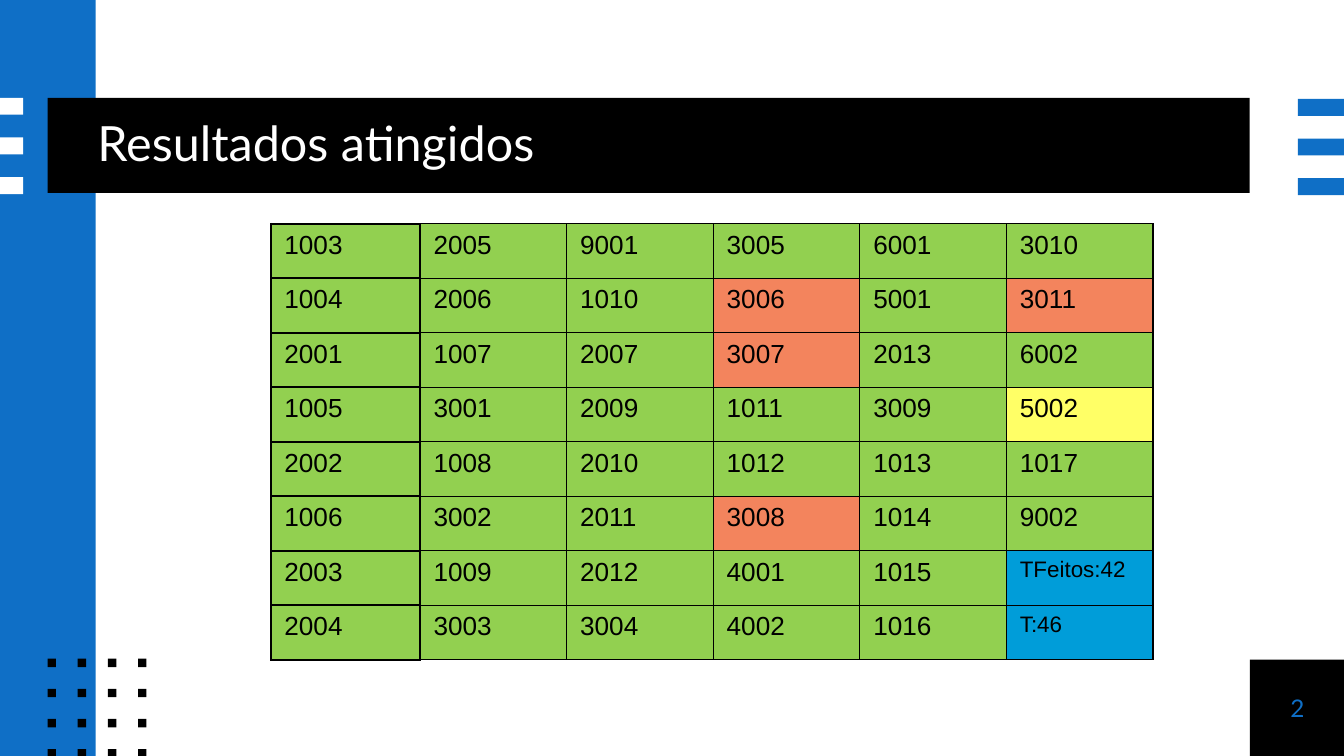
from dataclasses import dataclass
from itertools import product

from lxml.etree import SubElement
from pptx import Presentation
from pptx.dml.color import RGBColor
from pptx.enum.shapes import MSO_SHAPE as Preset
from pptx.enum.text import MSO_ANCHOR as Anchor, PP_ALIGN as Align
from pptx.oxml.ns import qn
from pptx.util import Cm, Pt


@dataclass(frozen=True)
class Theme:
    black: str = "000000"
    white: str = "FFFFFF"
    blue: str = "0F6FC6"
    done: str = "92D050"
    failed: str = "F3845D"
    partial: str = "FFFF66"
    total: str = "009DD9"
    heading_font: str = "Lato"
    table_font: str = "Arial"
    title_size: float = 26
    number_size: float = 13
    cell_size: float = 14
    total_size: float = 12
    thin_line: float = 0.75
    thick_line: float = 1


TEST_ROWS = [
    ["1003", "2005", "9001", "3005", "6001", "3010"],
    ["1004", "2006", "1010", "3006", "5001", "3011"],
    ["2001", "1007", "2007", "3007", "2013", "6002"],
    ["1005", "3001", "2009", "1011", "3009", "5002"],
    ["2002", "1008", "2010", "1012", "1013", "1017"],
    ["1006", "3002", "2011", "3008", "1014", "9002"],
    ["2003", "1009", "2012", "4001", "1015", "TFeitos:42"],
    ["2004", "3003", "3004", "4002", "1016", "T:46"],
]
FAILED_TESTS = {"3006", "3007", "3008", "3011"}
PARTIAL_TESTS = {"5002"}


def write_text(frame, text, *, font, size, color, align=Align.LEFT,
               anchor=Anchor.TOP, spacing=None):
    frame.word_wrap = True
    frame.vertical_anchor = anchor
    paragraph = frame.paragraphs[0]
    paragraph.alignment = align
    paragraph.line_spacing = spacing
    run = paragraph.add_run()
    run.text = text
    run.font.name = font
    run.font.size = Pt(size)
    run.font.color.rgb = RGBColor.from_string(color)


def clear_margins(frame):
    frame.margin_left = frame.margin_right = 0
    frame.margin_top = frame.margin_bottom = 0


class SlideBuilder:
    def __init__(self, slide, theme):
        self.slide = slide
        self.theme = theme

    def rectangle(self, left, top, width, height, color):
        shape = self.slide.shapes.add_shape(
            Preset.RECTANGLE, Cm(left), Cm(top), Cm(width), Cm(height))
        shape.shadow.inherit = False
        shape.fill.solid()
        shape.fill.fore_color.rgb = RGBColor.from_string(color)
        shape.line.fill.background()

    def stripes(self, left, top, width, color):
        for index in range(3):
            self.rectangle(left, top + 0.75 * index, width, 0.32, color)

    def dots(self, left, top):
        for row, column in product(range(4), repeat=2):
            self.rectangle(left + 0.57 * column, top + 0.57 * row,
                           0.16, 0.16, self.theme.black)

    def title(self, text, left, top, width, height):
        title = self.slide.shapes.title
        self.slide.shapes.element.append(title.element)
        title.left, title.top = Cm(left), Cm(top)
        title.width, title.height = Cm(width), Cm(height)
        clear_margins(title.text_frame)
        write_text(title.text_frame, text, font=self.theme.heading_font,
                   size=self.theme.title_size, color=self.theme.white,
                   anchor=Anchor.MIDDLE, spacing=0.9)

    def slide_number(self, text, left, top, side):
        box = self.slide.shapes.add_textbox(
            Cm(left), Cm(top), Cm(side), Cm(side))
        clear_margins(box.text_frame)
        write_text(box.text_frame, text, font=self.theme.heading_font,
                   size=self.theme.number_size, color=self.theme.blue,
                   align=Align.CENTER, anchor=Anchor.MIDDLE)

    def borders(self, cell, column):
        properties = cell._tc.get_or_add_tcPr()
        for side in ("L", "R", "T", "B"):
            thick = column == 0 or (column == 1 and side == "L")
            width = self.theme.thick_line if thick else self.theme.thin_line
            line = SubElement(properties, qn(f"a:ln{side}"), w=str(Pt(width)))
            fill = SubElement(line, qn("a:solidFill"))
            SubElement(fill, qn("a:srgbClr"), val=self.theme.black)

    def cell_color(self, text):
        if text.startswith("T"):
            return self.theme.total
        if text in FAILED_TESTS:
            return self.theme.failed
        if text in PARTIAL_TESTS:
            return self.theme.partial
        return self.theme.done

    def table(self, rows, left, top, widths, row_height):
        table = self.slide.shapes.add_table(
            len(rows), len(widths), Cm(left), Cm(top),
            Cm(sum(widths)), Cm(row_height * len(rows))).table
        table.first_row = table.horz_banding = False
        for column, width in zip(table.columns, widths):
            column.width = Cm(width)
        for row_index, values in enumerate(rows):
            table.rows[row_index].height = Cm(row_height)
            for column_index, text in enumerate(values):
                cell = table.cell(row_index, column_index)
                self.borders(cell, column_index)
                color = self.cell_color(text)
                cell.fill.solid()
                cell.fill.fore_color.rgb = RGBColor.from_string(color)
                is_total = color == self.theme.total
                size = self.theme.total_size if is_total else self.theme.cell_size
                write_text(cell.text_frame, text, font=self.theme.table_font,
                           size=size, color=self.theme.black)


def main():
    presentation = Presentation()
    presentation.slide_width = Cm(25.4)
    presentation.slide_height = Cm(14.29)
    theme = Theme()
    slide = presentation.slides.add_slide(presentation.slide_layouts[5])
    builder = SlideBuilder(slide, theme)

    builder.rectangle(23.62, 12.47, 1.8, 1.82, theme.black)
    builder.rectangle(0, 0, 1.81, 14.29, theme.blue)
    builder.rectangle(0.9, 1.85, 22.72, 1.8, theme.black)
    builder.stripes(0, 1.85, 0.44, theme.white)
    builder.stripes(24.53, 1.87, 0.87, theme.blue)
    builder.dots(0.9, 12.45)
    builder.title("Resultados atingidos", 1.84, 1.85, 21.78, 1.8)
    builder.slide_number("2", 23.62, 12.47, 1.8)
    builder.table(TEST_ROWS, 5.12, 4.23, [2.82] + [2.77] * 5, 1.03)

    presentation.save("out.pptx")


if __name__ == "__main__":
    main()
